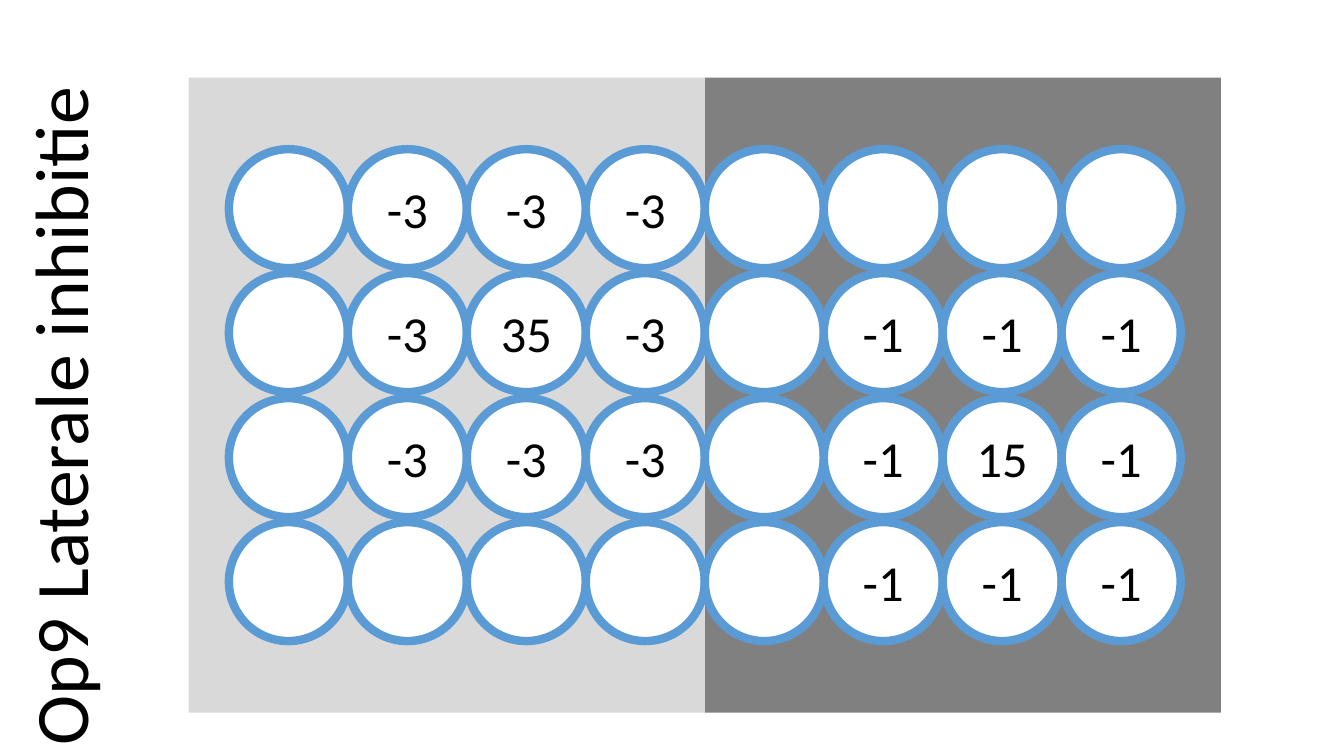
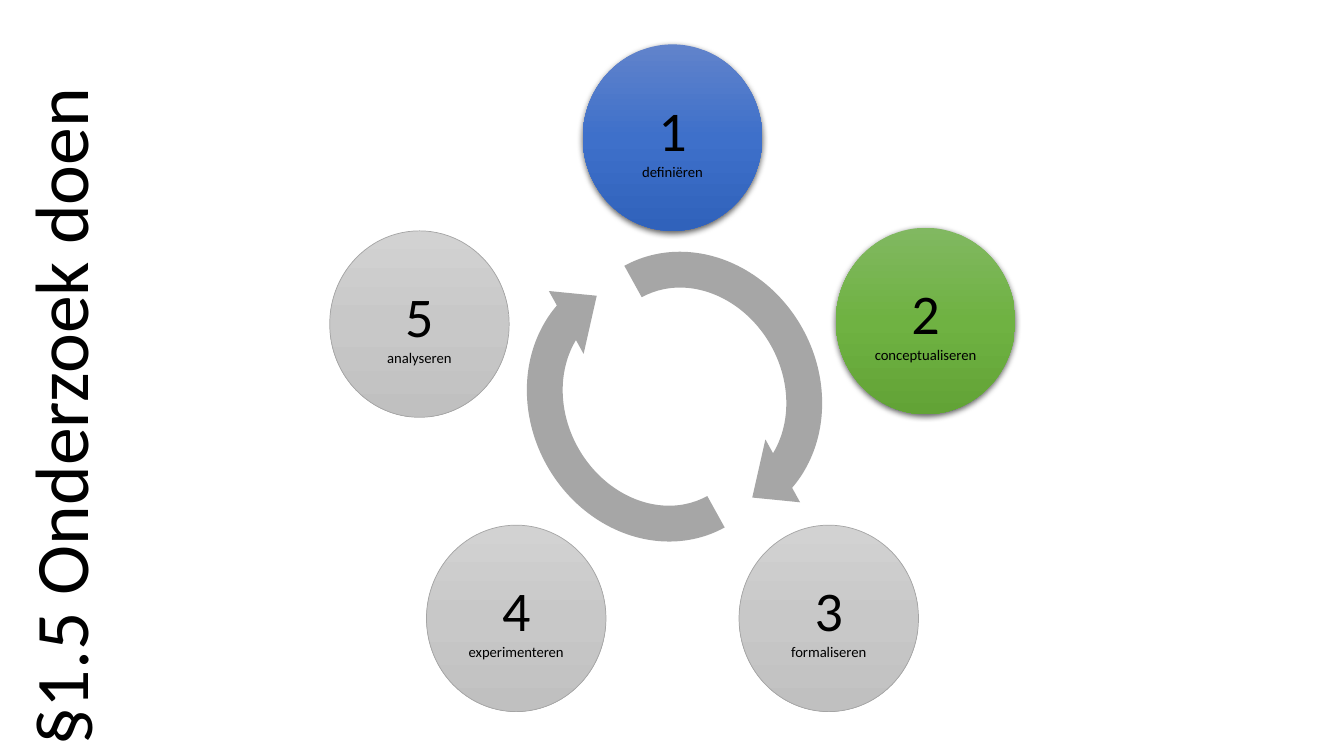
from copy import deepcopy
from math import cos, radians, sin

from lxml import etree
from pptx import Presentation
from pptx.dml.color import RGBColor
from pptx.enum import shapes, text
from pptx.oxml.ns import qn
from pptx.util import Emu, Pt

# Content
GRID_TITLE = "Op9 Laterale inhibitie"
GRID = [
    ["", "-3", "-3", "-3", "", "", "", ""],
    ["", "-3", "35", "-3", "", "-1", "-1", "-1"],
    ["", "-3", "-3", "-3", "", "-1", "15", "-1"],
    ["", "", "", "", "", "-1", "-1", "-1"],
]
CYCLE_TITLE = "§1.5 Onderzoek doen"
STEPS = [  # label, gradient, active, downward shift in px
    ("definiëren", "blue", True, 0),
    ("conceptualiseren", "green", True, 0),
    ("formaliseren", "grey", False, 0),
    ("experimenteren", "grey", False, 0),
    ("analyseren", "grey", False, 3),
]
ARROWS = [((529, 244), 61.1), ((493, 258), 241.1)]

# Shared style
COLORS = {
    "white": "FFFFFF", "black": "000000", "light": "D9D9D9", "dark": "808080",
    "ring": "5B9BD5", "arrow": "A6A6A6", "edge": "A5A5A5",
}
GRADIENTS = {
    "blue": ["6183CB", "3E70CA", "3062BB"],
    "green": ["81B861", "6FB242", "62A336"],
    "grey": ["D2D2D2", "C8C8C8", "C0C0C0"],
}
FONT = "Calibri"
PX = 9144  # EMU, 100 px to the inch
PAGE_W, PAGE_H = 1333, 750
TITLE_H, TITLE_CENTER = 126, 63

# Grid and cycle measures in px
FIELD_X, FIELD_Y, FIELD_W, FIELD_H = 187, 77, 512, 630
CELL, CELL_X, CELL_Y, ROW_PITCH = 118, 227, 148, 370 / 3
NODE_W, NODE_H = 178, 185
CYCLE_X, CYCLE_Y, CYCLE_R = 667, 400, 264
ARROW_W, ARROW_H = 316, 285


def px(value):
    return Emu(round(value) * PX)


def rgb(name):
    return RGBColor.from_string(COLORS[name])


def write(shape, lines, align=text.PP_ALIGN.CENTER, spacing=None):
    """Fill the shape with (words, size) lines in the shared font."""
    frame = shape.text_frame
    frame.word_wrap = True
    frame.auto_size = text.MSO_AUTO_SIZE.NONE
    frame.vertical_anchor = text.MSO_ANCHOR.MIDDLE
    for index, (words, size) in enumerate(lines):
        para = frame.add_paragraph() if index else frame.paragraphs[0]
        para.alignment = align
        if spacing:
            para.line_spacing = spacing
        span = para.add_run()
        span.text = words
        for key, value in {"name": FONT, "size": Pt(size), "bold": False}.items():
            setattr(span.font, key, value)
        span.font.color.rgb = rgb("black")


def add_page(deck, title):
    """Title-only page with the title turned along the left edge."""
    page = deck.slides.add_slide(deck.slide_layouts[5])
    box = page.shapes.title
    place = {
        "left": px(TITLE_CENTER - PAGE_H / 2), "top": px((PAGE_H - TITLE_H) / 2),
        "width": px(PAGE_H), "height": px(TITLE_H), "rotation": 270,
    }
    for key, value in place.items():
        setattr(box, key, value)
    box.fill.solid()
    box.fill.fore_color.rgb = rgb("white")
    color = box.fill._xPr.find(".//" + qn("a:srgbClr"))
    etree.SubElement(color, qn("a:alpha"), val="80000")
    write(box, [(title, 54)], text.PP_ALIGN.LEFT, 0.9)
    return page


def add_part(page, kind, left, top, width, height, fill=None, line=None, weight=0):
    part = page.shapes.add_shape(kind, px(left), px(top), px(width), px(height))
    part.shadow.inherit = False
    if fill:
        part.fill.solid()
        part.fill.fore_color.rgb = rgb(fill)
    if line:
        part.line.color.rgb = rgb(line)
        part.line.width = Pt(weight)
    else:
        part.line.fill.background()
    frame = part.text_frame
    for side in ("left", "right", "top", "bottom"):
        setattr(frame, "margin_" + side, 0)
    return part


def shade(shape, colors):
    """Vertical gradient with three evenly spaced stops."""
    shape.fill.gradient()
    shape.fill.gradient_angle = 270
    stops = shape._element.spPr.find(".//" + qn("a:gsLst"))
    stops.append(deepcopy(stops[-1]))
    for index, stop in enumerate(shape.fill.gradient_stops):
        stop.position = index / 2
        stop.color.rgb = RGBColor.from_string(colors[index])


def cast_shadow(shape):
    effects = shape._element.spPr.find(qn("a:effectLst"))
    shadow = etree.SubElement(effects, qn("a:outerShdw"), blurRad=str(Pt(4.5)),
                              dist=str(Pt(1.5)), dir="5400000", algn="ctr",
                              rotWithShape="0")
    color = etree.SubElement(shadow, qn("a:srgbClr"), val=COLORS["black"])
    etree.SubElement(color, qn("a:alpha"), val="63000")


def build_grid(deck):
    page = add_page(deck, GRID_TITLE)
    kinds = shapes.MSO_SHAPE
    # Light and dark fields
    for index, fill in enumerate(("light", "dark")):
        add_part(page, kinds.RECTANGLE, FIELD_X + index * FIELD_W, FIELD_Y,
                 FIELD_W, FIELD_H, fill)
    # Receptor cells
    for row, values in enumerate(GRID):
        for column, value in enumerate(values):
            cell = add_part(page, kinds.OVAL, CELL_X + column * CELL,
                            CELL_Y + row * ROW_PITCH, CELL, CELL, "white", "ring", 6)
            if value:
                write(cell, [(value, 36)])


def build_cycle(deck):
    page = add_page(deck, CYCLE_TITLE)
    kinds = shapes.MSO_SHAPE
    # Steps on a regular pentagon
    for index, (label, gradient, active, shift) in enumerate(STEPS):
        angle = radians(360 / len(STEPS) * index - 90)
        left = CYCLE_X + CYCLE_R * cos(angle) - NODE_W / 2
        top = CYCLE_Y + CYCLE_R * sin(angle) - NODE_H / 2 + shift
        node = add_part(page, kinds.OVAL, left, top, NODE_W, NODE_H,
                        line=None if active else "edge", weight=0.5)
        shade(node, GRADIENTS[gradient])
        if active:
            cast_shadow(node)
        write(node, [(str(index + 1), 40), (label, 10.5)])
    # Turning arrows
    for (left, top), turn in ARROWS:
        arrow = add_part(page, kinds.CIRCULAR_ARROW, left, top,
                         ARROW_W, ARROW_H, "arrow")
        arrow.rotation = turn


def main():
    deck = Presentation()
    deck.slide_width, deck.slide_height = px(PAGE_W), px(PAGE_H)
    build_grid(deck)
    build_cycle(deck)
    deck.save("out.pptx")


if __name__ == "__main__":
    main()
